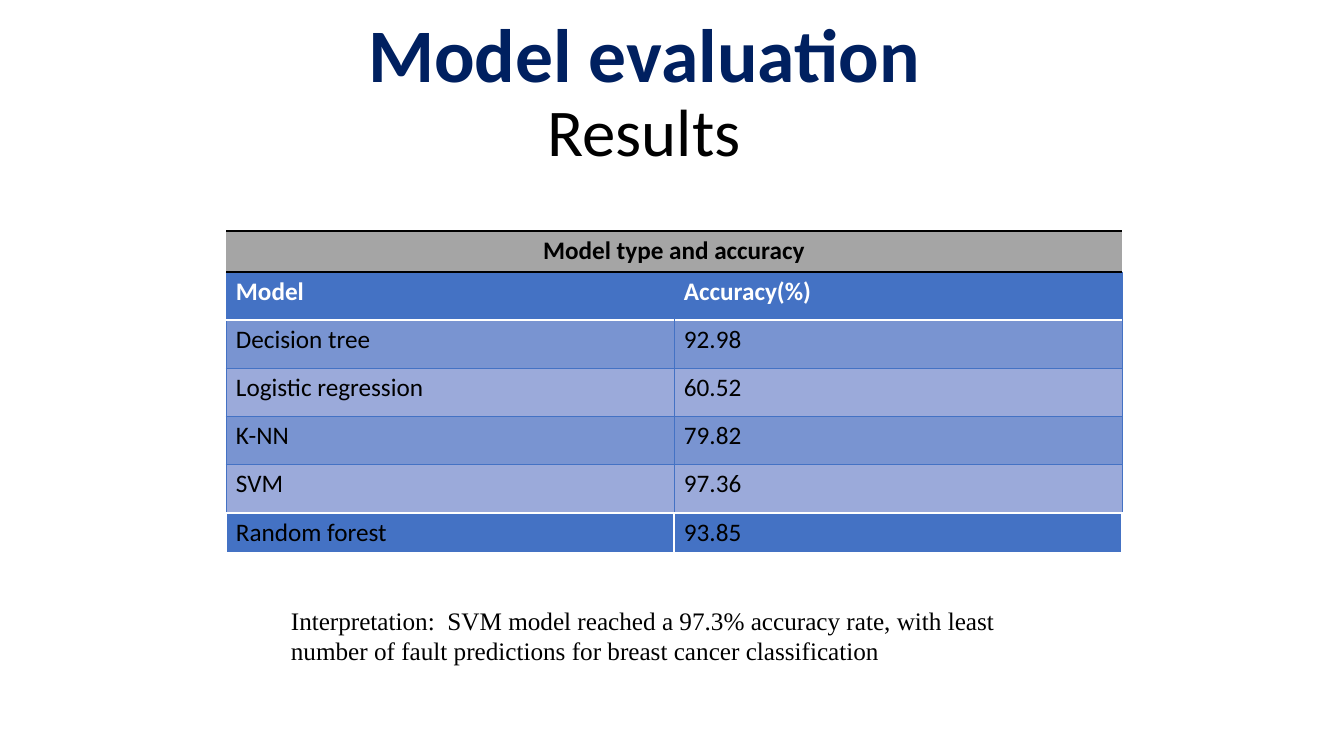
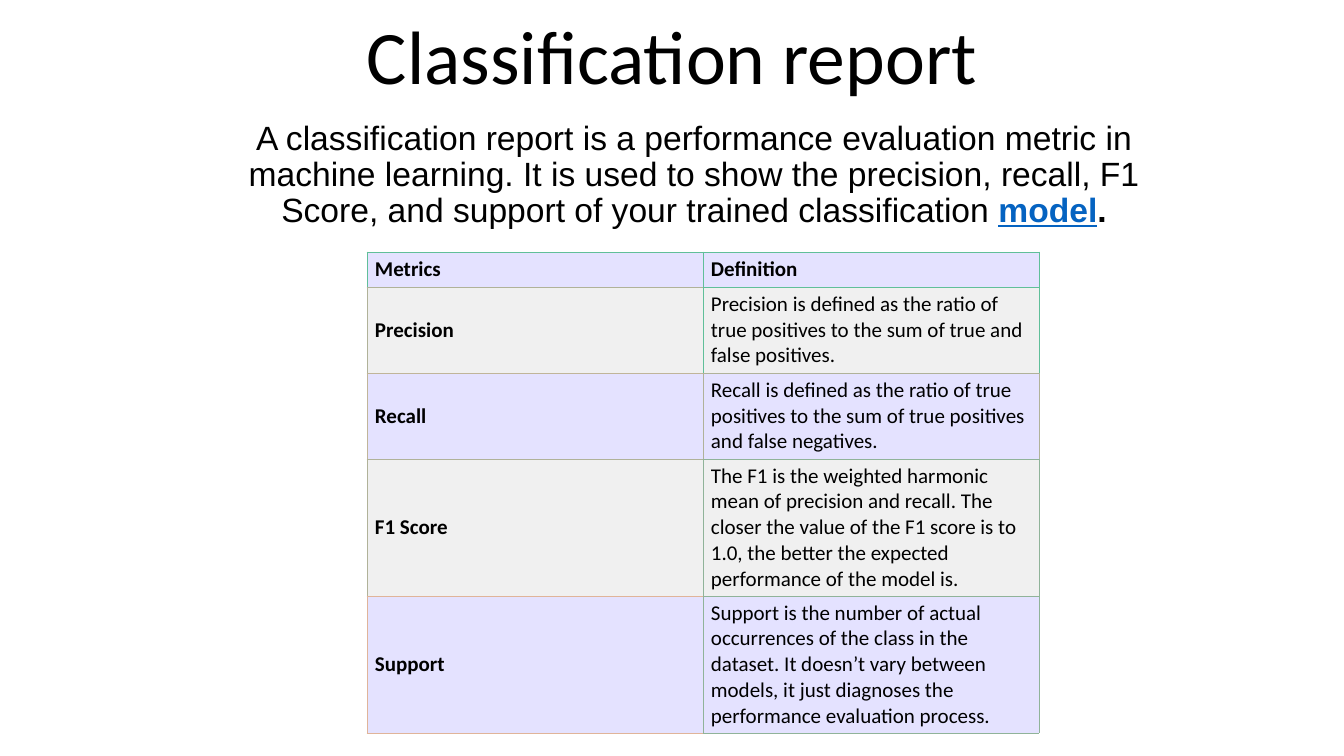
from dataclasses import dataclass
from typing import Optional

import lxml.etree
import pptx
import pptx.dml.color
import pptx.enum.text
import pptx.oxml.ns
import pptx.util

RGBColor = pptx.dml.color.RGBColor
Align = pptx.enum.text.PP_ALIGN
Anchor = pptx.enum.text.MSO_ANCHOR

BLACK = RGBColor(0x00, 0x00, 0x00)
WHITE = RGBColor(0xFF, 0xFF, 0xFF)
NAVY = RGBColor(0x00, 0x20, 0x60)
LINK_BLUE = RGBColor(0x05, 0x63, 0xC1)
BLUE = RGBColor(0x44, 0x72, 0xC4)
DARK_BAND = RGBColor(0x79, 0x94, 0xD1)
LIGHT_BAND = RGBColor(0x9B, 0xAA, 0xDA)
GRAY = RGBColor(0xA5, 0xA5, 0xA5)
LAVENDER = RGBColor(0xE4, 0xE2, 0xFF)
SMOKE = RGBColor(0xF0, 0xF0, 0xF0)
GREEN = RGBColor(0x60, 0xBF, 0x99)
OLIVE = RGBColor(0xB0, 0xB2, 0x99)
TAN = RGBColor(0xC0, 0xB5, 0x99)
SAGE = RGBColor(0x90, 0xB3, 0x99)
PEACH = RGBColor(0xE0, 0xB4, 0x99)

PIXELS_PER_INCH = 100.8
TITLE_LAYOUT = 0
TITLE_ONLY_LAYOUT = 5


@dataclass(frozen=True)
class Frame:
    left: int
    top: int
    width: int
    height: int


@dataclass(frozen=True)
class Span:
    text: str
    size: float
    color: RGBColor = BLACK
    bold: bool = False
    underline: bool = False


@dataclass(frozen=True)
class Edge:
    color: RGBColor
    width: float


@dataclass(frozen=True)
class Border:
    left: Optional[Edge] = None
    right: Optional[Edge] = None
    top: Optional[Edge] = None
    bottom: Optional[Edge] = None


@dataclass(frozen=True)
class Cell:
    text: str
    fill: RGBColor
    border: Border
    color: RGBColor = BLACK
    bold: bool = False


@dataclass(frozen=True)
class Grid:
    left: int
    top: int
    column_width: int
    row_heights: list[int]
    rows: list[list[Cell]]
    size: int = 18
    align: Align = Align.LEFT
    anchor: Anchor = Anchor.TOP
    side_margin: int = 10
    end_margin: int = 5


def px(pixels: float) -> int:
    return pptx.util.Emu(round(pixels * 914400 / PIXELS_PER_INCH))


def place(shape, frame: Frame) -> None:
    shape.left, shape.top = px(frame.left), px(frame.top)
    shape.width, shape.height = px(frame.width), px(frame.height)


def write_placeholder(shape, frame: Frame, lines: list[list[Span]], font: str,
                      anchor: Anchor, space_before: int = 0) -> None:
    place(shape, frame)
    text_frame = shape.text_frame
    text_frame.auto_size = pptx.enum.text.MSO_AUTO_SIZE.NONE
    text_frame.vertical_anchor = anchor
    para = text_frame.paragraphs[0]
    para.alignment = Align.CENTER
    para.line_spacing = 0.9
    para.space_before = pptx.util.Pt(space_before)
    for index, line in enumerate(lines):
        if index:
            para.add_line_break()
        for span in line:
            run = para.add_run()
            run.text = span.text
            run.font.name = font
            run.font.size = pptx.util.Pt(span.size)
            run.font.bold = span.bold
            run.font.underline = span.underline
            run.font.color.rgb = span.color


def write_title(page, frame: Frame, lines: list[list[Span]]) -> None:
    write_placeholder(page.shapes.title, frame, lines, "Calibri", Anchor.BOTTOM)


def draw_border(cell, border: Border) -> None:
    properties = cell._tc.get_or_add_tcPr()
    qn = pptx.oxml.ns.qn
    sides = {"a:lnL": border.left, "a:lnR": border.right,
             "a:lnT": border.top, "a:lnB": border.bottom}
    for tag, edge in sides.items():
        line = lxml.etree.SubElement(properties, qn(tag))
        if edge is None:
            lxml.etree.SubElement(line, qn("a:noFill"))
            continue
        line.set("w", str(pptx.util.Pt(edge.width)))
        fill = lxml.etree.SubElement(line, qn("a:solidFill"))
        lxml.etree.SubElement(fill, qn("a:srgbClr")).set("val", str(edge.color))


def draw_grid(page, grid: Grid) -> None:
    column_count = len(grid.rows[0])
    table = page.shapes.add_table(
        len(grid.rows), column_count, px(grid.left), px(grid.top),
        px(grid.column_width * column_count), px(sum(grid.row_heights))).table
    table.first_row = False
    table.horz_banding = False
    for column in table.columns:
        column.width = px(grid.column_width)
    for row, height, entries in zip(table.rows, grid.row_heights, grid.rows):
        row.height = px(height)
        for cell, entry in zip(row.cells, entries):
            draw_border(cell, entry.border)
            cell.fill.solid()
            cell.fill.fore_color.rgb = entry.fill
            cell.margin_left = cell.margin_right = px(grid.side_margin)
            cell.margin_top = cell.margin_bottom = px(grid.end_margin)
            cell.vertical_anchor = grid.anchor
            cell.text = entry.text
            para = cell.text_frame.paragraphs[0]
            para.alignment = grid.align
            para.font.name = "Calibri"
            para.font.size = pptx.util.Pt(grid.size)
            para.font.bold = entry.bold
            para.font.color.rgb = entry.color


def accuracy_rows() -> list[list[Cell]]:
    blue, white = Edge(BLUE, 0.5), Edge(WHITE, 1)
    rows = [[Cell("Model", BLUE, Border(left=blue, top=blue, bottom=white), WHITE, True),
             Cell("Accuracy(%)", BLUE, Border(right=blue, top=blue, bottom=white), WHITE, True)]]
    scores = [("Decision tree", "92.98"), ("Logistic regression", "60.52"),
              ("K-NN", "79.82"), ("SVM", "97.36")]
    for index, score in enumerate(scores):
        fill = LIGHT_BAND if index % 2 else DARK_BAND
        border = Border(blue, blue, blue if index else white, blue)
        rows.append([Cell(text, fill, border) for text in score])
    return rows


def metric_rows() -> list[list[Cell]]:
    metrics = [
        ("Metrics", (GREEN, GREEN, OLIVE),
         "Definition", (GREEN, GREEN, GREEN)),
        ("Precision", (OLIVE, GREEN, TAN),
         "Precision is defined as the ratio of true positives to the sum of true "
         "and false positives.", (GREEN, GREEN, OLIVE)),
        ("Recall", (TAN, OLIVE, OLIVE),
         "Recall is defined as the ratio of true positives to the sum of true "
         "positives and false negatives.", (OLIVE, OLIVE, SAGE)),
        ("F1 Score", (OLIVE, SAGE, PEACH),
         "The F1 is the weighted harmonic mean of precision and recall. The closer "
         "the value of the F1 score is to 1.0, the better the expected performance "
         "of the model is.", (SAGE, SAGE, SAGE)),
        ("Support", (PEACH, SAGE, PEACH),
         "Support is the number of actual occurrences of the class in the dataset. "
         "It doesn’t vary between models, it just diagnoses the performance "
         "evaluation process.", (SAGE, SAGE, SAGE)),
    ]

    def outline(colors: tuple[RGBColor, RGBColor, RGBColor]) -> Border:
        start, right, bottom = (Edge(color, 0.6) for color in colors)
        return Border(start, right, start, bottom)

    rows = []
    for index, (name, name_colors, definition, definition_colors) in enumerate(metrics):
        fill = SMOKE if index % 2 else LAVENDER
        rows.append([Cell(name, fill, outline(name_colors), bold=True),
                     Cell(definition, fill, outline(definition_colors), bold=index == 0)])
    return rows


def build_evaluation(deck) -> None:
    page = deck.slides.add_slide(deck.slide_layouts[TITLE_ONLY_LAYOUT])
    write_title(page, Frame(140, 60, 1008, 116),
                [[Span("Model evaluation", 54, NAVY, bold=True)], [Span("Results", 47.7)]])
    draw_grid(page, Grid(226, 272, 448, [48] * 5, accuracy_rows()))
    rule = Edge(BLACK, 2)
    caption = Cell("Model type and accuracy", GRAY, Border(top=rule, bottom=rule), bold=True)
    draw_grid(page, Grid(226, 231, 896, [41], [[caption]], align=Align.CENTER))
    white = Edge(WHITE, 1)
    border = Border(white, white, white, Edge(WHITE, 3))
    forest = [Cell(text, BLUE, border) for text in ("Random forest", "93.85")]
    draw_grid(page, Grid(226, 513, 448, [41], [forest]))

    box = page.shapes.add_textbox(px(281), px(600), px(779), px(71))
    box.text_frame.word_wrap = True
    para = box.text_frame.paragraphs[0]
    para.text = ("Interpretation:  SVM model reached a 97.3% accuracy rate, with least "
                 "number of fault predictions for breast cancer classification")
    para.font.name = "Times New Roman"
    para.font.size = pptx.util.Pt(18)
    para.font.color.rgb = BLACK


def build_report(deck) -> None:
    page = deck.slides.add_slide(deck.slide_layouts[TITLE_LAYOUT])
    write_title(page, Frame(168, 10, 1008, 96), [[Span("Classification report", 54)]])
    summary = [Span("A classification report is a performance evaluation metric in machine "
                    "learning. It is used to show the precision, recall, F1 Score, and "
                    "support of your trained classification\u00a0", 24),
               Span("model", 24, LINK_BLUE, bold=True, underline=True),
               Span(".", 24, bold=True)]
    write_placeholder(page.placeholders[1], Frame(190, 116, 1008, 182), [summary],
                      "Arial", Anchor.TOP, space_before=10)
    draw_grid(page, Grid(367, 252, 336, [35, 86, 86, 137, 137], metric_rows(), size=15,
                         anchor=Anchor.MIDDLE, side_margin=8, end_margin=4))


deck = pptx.Presentation()
deck.slide_width, deck.slide_height = px(1344), px(756)
build_evaluation(deck)
build_report(deck)
deck.save("out.pptx")
